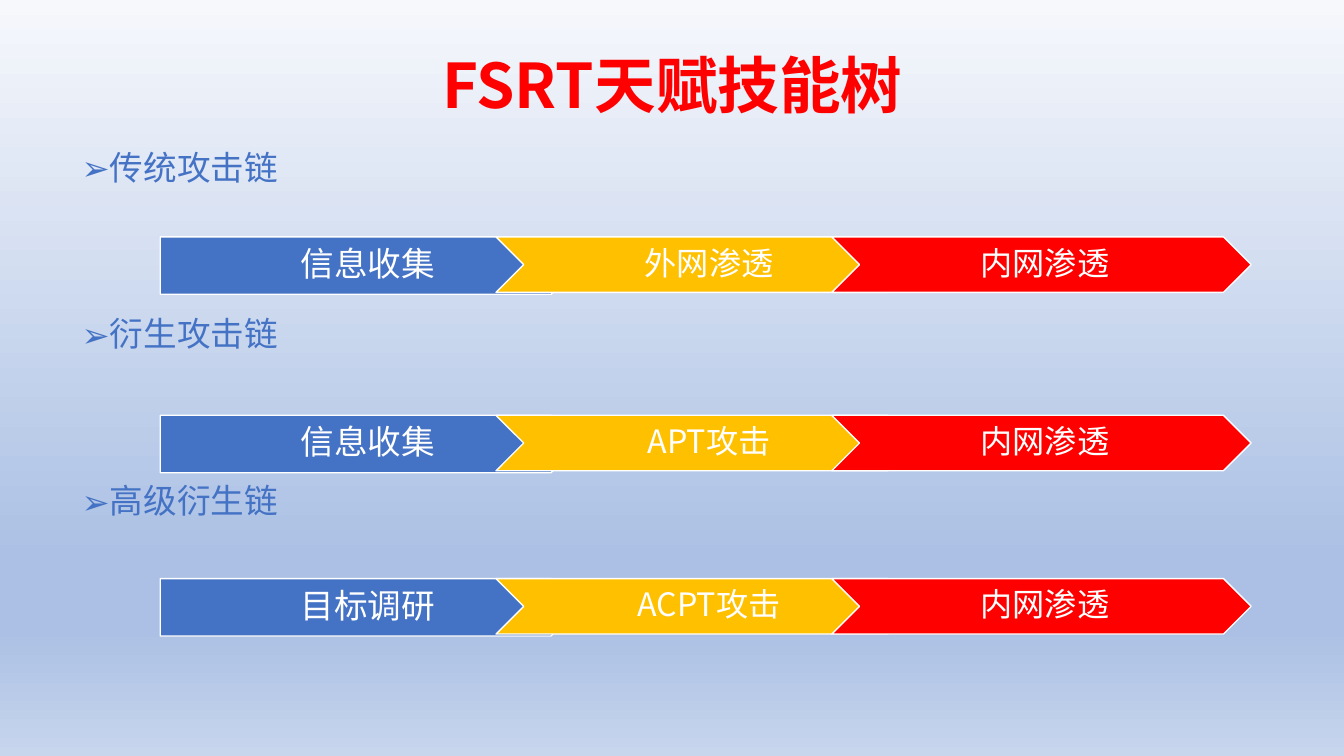
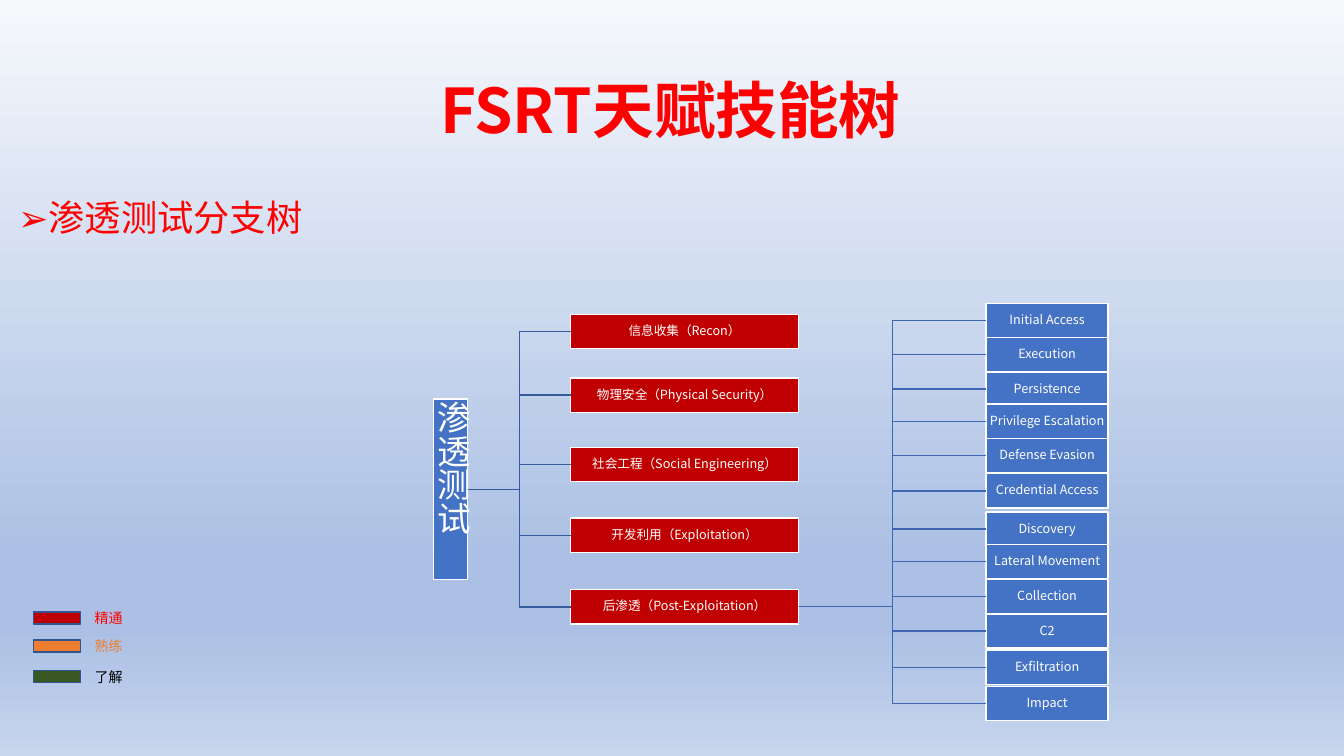
"""Build two slides on attack chains and the penetration testing skill tree."""
from lxml import etree
from pptx import Presentation
from pptx import util as u
from pptx.dml.color import RGBColor
from pptx.enum import shapes, text
from pptx.oxml.ns import qn

FONT = "Noto Sans CJK SC"
TITLE = "FSRT天赋技能树"
COLORS = {
    "red": "FF0000", "blue": "4472C4", "amber": "FFC000", "white": "FFFFFF",
    "crimson": "C00000", "orange": "ED7D31", "green": "385723", "black": "000000",
    "swatch_line": "325491", "topic_line": "365B9D", "tactic_line": "3E67B2",
}
BACKGROUND = [(0, "F6F8FC"), (74, "ABC0E4"), (83, "ABC0E4"), (100, "C7D5ED")]
CHAINS = [
    (2.35, ["信息收集", "外网渗透", "内网渗透"]),
    (4.12, ["信息收集", "APT攻击", "内网渗透"]),
    (5.74, ["目标调研", "ACPT攻击", "内网渗透"]),
]
LEGEND = [
    (0, "精通", "crimson", "red"),
    (0.28, "熟练", "orange", "orange"),
    (0.58, "了解", "green", "black"),
]
TOPICS = [
    (0.11, "信息收集（Recon）"),
    (0.74, "物理安全（Physical Security）"),
    (1.43, "社会工程（Social Engineering）"),
    (2.13, "开发利用（Exploitation）"),
    (2.84, "后渗透（Post-Exploitation）"),
]
TACTICS = [
    (0, "Initial Access"), (0.34, "Execution"), (0.68, "Persistence"),
    (1, "Privilege Escalation"), (1.34, "Defense Evasion"),
    (1.69, "Credential Access"), (2.07, "Discovery"), (2.39, "Lateral Movement"),
    (2.74, "Collection"), (3.08, "C2"), (3.44, "Exfiltration"), (3.8, "Impact"),
]


def rgb(name):
    """Return the named colour."""
    return RGBColor.from_string(COLORS[name])


def inches(*lengths):
    """Convert several lengths to inches."""
    return [u.Inches(length) for length in lengths]


def add_run(para, words, size, color, bold=False):
    """Add one formatted run to a paragraph."""
    span = para.add_run()
    span.text = words
    span.font.size = u.Pt(size)
    span.font.bold = bold
    span.font.name = FONT
    span.font.color.rgb = rgb(color)
    east_asian = etree.SubElement(span.font._element, qn("a:ea"))
    east_asian.set("typeface", FONT)


def place(shape, box):
    """Move a placeholder to the given box."""
    shape.left, shape.top, shape.width, shape.height = inches(*box)
    shape.text_frame.auto_size = text.MSO_AUTO_SIZE.NONE
    shape.text_frame.word_wrap = True


def add_page(deck, title_box):
    """Add a page with the shared title and return it."""
    page = deck.slides.add_slide(deck.slide_layouts[1])
    title = page.shapes.title
    place(title, title_box)
    title.text_frame.vertical_anchor = text.MSO_ANCHOR.MIDDLE
    para = title.text_frame.paragraphs[0]
    para.alignment = text.PP_ALIGN.CENTER
    para.line_spacing = 0.9
    add_run(para, TITLE, 44, "red", bold=True)
    return page


def fill_list(page, box, items, size, color, level=0, spacing=0.8, gap=0):
    """Fill the body placeholder with arrow bullets."""
    body = page.placeholders[1]
    place(body, box)
    frame = body.text_frame
    for index, item in enumerate(items):
        para = frame.add_paragraph() if index else frame.paragraphs[0]
        props = para._p.get_or_add_pPr()
        props.set("marL", str(u.Inches(0.25 + 0.5 * level)))
        props.set("indent", str(u.Inches(-0.25)))
        etree.SubElement(props, qn("a:buFont")).set("typeface", FONT)
        etree.SubElement(props, qn("a:buChar")).set("char", "➢")
        para.level = level
        para.line_spacing = spacing
        para.space_before = u.Pt(gap if index else 0)
        add_run(para, item, size, color)


def add_block(page, kind, box, fill, line="white"):
    """Add a flat filled shape with a thin outline."""
    block = page.shapes.add_shape(kind, *inches(*box))
    block.shadow.inherit = False
    block.fill.solid()
    block.fill.fore_color.rgb = rgb(fill)
    block.line.color.rgb = rgb(line)
    block.line.width = u.Pt(1)
    return block


def label_block(block, words, size, margins):
    """Write centred white text inside a block."""
    frame = block.text_frame
    frame.word_wrap = True
    frame.vertical_anchor = text.MSO_ANCHOR.MIDDLE
    (frame.margin_left, frame.margin_top,
     frame.margin_right, frame.margin_bottom) = inches(*margins)
    para = frame.paragraphs[0]
    para.alignment = text.PP_ALIGN.CENTER
    para.line_spacing = 0.9
    add_run(para, words, size, "white")


def add_chain(page, left, top, steps):
    """Draw one attack chain as a row of overlapping arrows."""
    width, pitch = 4.16, 3.33
    start, step = shapes.MSO_SHAPE.PENTAGON, shapes.MSO_SHAPE.CHEVRON
    styles = [
        (start, 0.57, "blue", 24, (0.14, 0.07, 0.04, 0.07)),
        (step, 0.55, "amber", 23, (0.1, 0.07, 0.03, 0.07)),
        (step, 0.55, "red", 23, (0.1, 0.07, 0.03, 0.07)),
    ]
    for index, (words, style) in enumerate(zip(steps, styles)):
        kind, height, fill, size, margins = style
        box = (left + index * pitch, top, width, height)
        label_block(add_block(page, kind, box, fill), words, size, margins)


def add_legend(page, left, top):
    """Draw the skill level legend."""
    for offset, words, fill, color in LEGEND:
        box = (left, top + offset + 0.07, 0.47, 0.12)
        add_block(page, shapes.MSO_SHAPE.RECTANGLE, box, fill, "swatch_line")
        label = page.shapes.add_textbox(*inches(left + 0.51, top + offset, 0.57, 0.27))
        label.text_frame.word_wrap = True
        add_run(label.text_frame.paragraphs[0], words, 10, color)


def add_nodes(page, left, top, width, entries, fill):
    """Draw a column of tree nodes and return them."""
    nodes = []
    for offset, words in entries:
        box = (left, top + offset, width, 0.34)
        node = add_block(page, shapes.MSO_SHAPE.RECTANGLE, box, fill)
        label_block(node, words, 9, (0.01, 0.01, 0.01, 0.01))
        nodes.append(node)
    return nodes


def join(page, parent, children, color):
    """Join a parent node to each child with elbow connectors."""
    for child in children:
        branch = page.shapes.add_connector(shapes.MSO_CONNECTOR.ELBOW, 0, 0, 0, 0)
        branch.begin_connect(parent, 3)
        branch.end_connect(child, 1)
        branch.line.color.rgb = rgb(color)
        branch.line.width = u.Pt(1)
        etree.SubElement(branch._element.spPr, qn("a:effectLst"))


def add_tree(page, left, top):
    """Draw the penetration testing tree."""
    root_box = (left, top + 0.95, 0.34, 1.79)
    root = add_block(page, shapes.MSO_SHAPE.RECTANGLE, root_box, "blue")
    label_block(root, "渗透测试", 24, (0.02, 0.02, 0.02, 0.02))
    root.text_frame._txBody.bodyPr.set("vert", "eaVert")
    topics = add_nodes(page, left + 1.36, top, 2.26, TOPICS, "crimson")
    tactics = add_nodes(page, left + 5.48, top, 1.21, TACTICS, "blue")
    join(page, root, topics, "topic_line")
    join(page, topics[-1], tactics, "tactic_line")


def set_background(deck):
    """Give the master a vertical gradient."""
    master = deck.slide_master
    fill = master.background.fill
    fill.gradient()
    fill.gradient_angle = 270
    stops = master.element.find(".//" + qn("a:gsLst"))
    for stop in list(stops):
        stops.remove(stop)
    for position, color in BACKGROUND:
        stop = etree.SubElement(stops, qn("a:gs"), pos=str(position * 1000))
        etree.SubElement(stop, qn("a:srgbClr"), val=color)


def build_chains(deck):
    """Build the attack chain slide."""
    page = add_page(deck, (0.92, 0.25, 11.5, 1.26))
    fill_list(page, (0.21, 1.48, 12.86, 5.92), ["传统攻击链", "衍生攻击链", "高级衍生链"],
              24, "blue", level=1, gap=96)
    for top, steps in CHAINS:
        add_chain(page, 1.59, top, steps)


def build_tree(deck):
    """Build the skill tree slide."""
    page = add_page(deck, (0.08, 0.4, 13.14, 1.45))
    fill_list(page, (0.08, 2, 3.57, 0.48), ["渗透测试分支树"], 25.9, "red", spacing=0.7)
    add_legend(page, 0.33, 6)
    add_tree(page, 4.3, 3.01)


def main():
    """Build and save the deck."""
    deck = Presentation()
    deck.slide_width, deck.slide_height = inches(13.33, 7.5)
    set_background(deck)
    build_chains(deck)
    build_tree(deck)
    deck.save("out.pptx")


if __name__ == "__main__":
    main()
